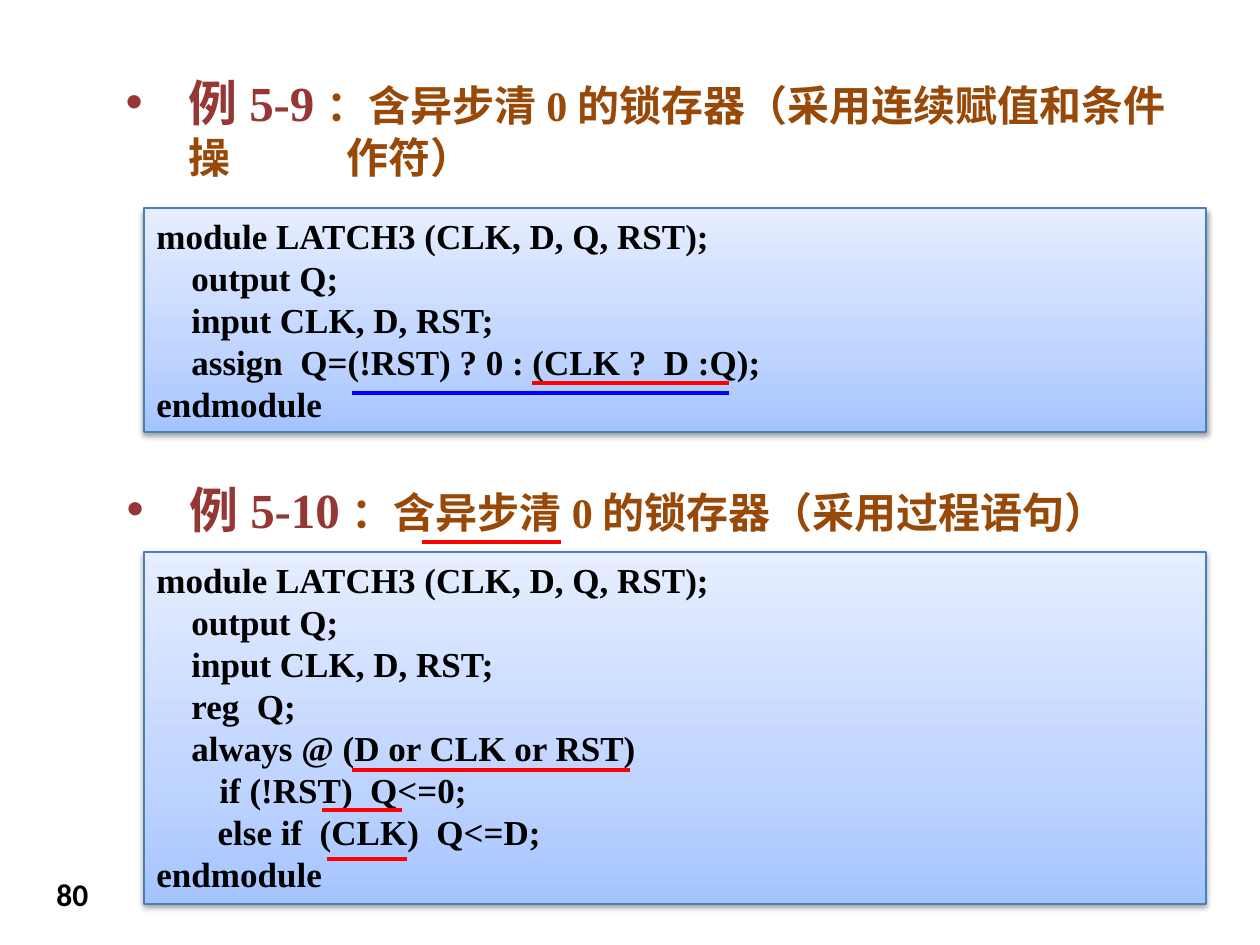
from copy import deepcopy

from pptx import Presentation
from pptx.dml.color import RGBColor
from pptx.enum.shapes import MSO_CONNECTOR, MSO_SHAPE
from pptx.enum.text import MSO_ANCHOR, MSO_AUTO_SIZE, PP_ALIGN
from pptx.oxml import parse_xml
from pptx.oxml.ns import nsdecls
from pptx.util import Emu, Pt

EMU_PER_PX = 914400 / 126
COLORS = {
    "number": "953735", "topic": "984807", "text": "000000", "edge": "4B7EBC",
    "red": "FF0000", "blue": "0000FF",
}
PANEL_STOPS = [(0, "A4C4FF"), (0.35, "BFD4FF"), (1, "E6EEFF")]
SERIF = "Times New Roman"
CODE_FONT = {"name": SERIF, "size": Pt(20), "bold": True}
NUMBER_FONT = {"name": SERIF, "size": Pt(28), "bold": True}
TOPIC_FONT = {"name": SERIF, "size": Pt(24), "bold": True}
PAGE_FONT = {"name": "Calibri", "size": Pt(18), "bold": True}

HEADINGS = [
    ("例5-9", "：含异步清0的锁存器（采用连续赋值和条件操\t作符）", (113, 66, 1091, 140)),
    ("例5-10", "：含异步清0的锁存器（采用过程语句）", (114, 473, 1091, 75)),
]
HANG, TAB_STOP = 63, 221

PANELS = [
    ((144, 208, 1062, 224), [
        "module LATCH3 (CLK, D, Q, RST);",
        "    output Q;",
        "    input CLK, D, RST;",
        "    assign  Q=(!RST) ? 0 : (CLK ?  D :Q);",
        "endmodule",
    ]),
    ((144, 552, 1062, 352), [
        "module LATCH3 (CLK, D, Q, RST);",
        "    output Q;",
        "    input CLK, D, RST;",
        "    reg  Q;",
        "    always @ (D or CLK or RST)",
        "\tif (!RST)  Q<=0;",
        "       else if  (CLK)  Q<=D;",
        "endmodule",
    ]),
]

# left, right, height on the page, colour
UNDERLINES = [
    (532, 729, 383, "red"),
    (352, 729, 393, "blue"),
    (352, 630, 770, "red"),
    (322, 402, 810, "red"),
    (327, 407, 859, "red"),
    (422, 561, 542, "red"),
]
PAGE_NUMBER = ("80", (44, 869, 79, 57))


def px(value):
    return Emu(round(value * EMU_PER_PX))


def color(name):
    return RGBColor.from_string(COLORS[name])


def add_span(para, text, font, tone):
    span = para.add_run()
    span.text = text
    for name, value in font.items():
        setattr(span.font, name, value)
    span.font.color.rgb = color(tone)


def place(shape, area):
    for name, value in zip(("left", "top", "width", "height"), area):
        setattr(shape, name, px(value))


def set_frame(frame):
    frame.word_wrap = True
    frame.auto_size = MSO_AUTO_SIZE.NONE
    frame.vertical_anchor = MSO_ANCHOR.TOP


def fill_heading(holder, number, topic, area):
    place(holder, area)
    set_frame(holder.text_frame)
    para = holder.text_frame.paragraphs[0]
    para.alignment = PP_ALIGN.LEFT
    para.space_before = Pt(0)
    props = para._p.get_or_add_pPr()
    props.set("marL", str(px(HANG)))
    props.set("indent", str(-px(HANG)))
    for xml in (
        f'<a:buClr {nsdecls("a")}><a:srgbClr val="{COLORS["number"]}"/></a:buClr>',
        f'<a:buFont {nsdecls("a")} typeface="Arial"/>',
        f'<a:buChar {nsdecls("a")} char="•"/>',
        f'<a:tabLst {nsdecls("a")}><a:tab pos="{px(TAB_STOP)}" algn="l"/></a:tabLst>',
    ):
        props.append(parse_xml(xml))
    add_span(para, number, NUMBER_FONT, "number")
    add_span(para, topic, TOPIC_FONT, "topic")


def paint_panel(panel):
    """Give the panel its three-stop gradient, thin edge and soft shadow."""
    panel.fill.gradient()
    panel.fill.gradient_angle = 90
    stop_list = panel._element.spPr.xpath("./a:gradFill/a:gsLst")[0]
    stop_list.append(deepcopy(stop_list[0]))
    for stop, (position, tone) in zip(panel.fill.gradient_stops, PANEL_STOPS):
        stop.position = position
        stop.color.rgb = RGBColor.from_string(tone)
    panel.line.color.rgb = color("edge")
    panel.line.width = Pt(0.75)
    panel.shadow.inherit = False
    panel._element.spPr.xpath("./a:effectLst")[0].append(parse_xml(
        f'<a:outerShdw {nsdecls("a")} blurRad="40000" dist="20000" dir="5400000" '
        'rotWithShape="0"><a:srgbClr val="000000"><a:alpha val="38000"/>'
        '</a:srgbClr></a:outerShdw>'))


def add_panel(page, area, lines):
    panel = page.shapes.add_shape(MSO_SHAPE.RECTANGLE, *map(px, area))
    paint_panel(panel)
    frame = panel.text_frame
    set_frame(frame)
    for index, line in enumerate(lines):
        para = frame.add_paragraph() if index else frame.paragraphs[0]
        para.alignment = PP_ALIGN.LEFT
        add_span(para, line, CODE_FONT, "text")


def add_underline(page, left, right, height, tone):
    line = page.shapes.add_connector(
        MSO_CONNECTOR.STRAIGHT, px(left), px(height), px(right), px(height))
    line.line.color.rgb = color(tone)
    line.line.width = Pt(2.25)
    line._element.spPr.append(parse_xml(f'<a:effectLst {nsdecls("a")}/>'))


def main():
    deck = Presentation()
    deck.slide_width, deck.slide_height = px(1260), px(945)
    page = deck.slides.add_slide(deck.slide_layouts[1])
    for holder, heading in zip(page.placeholders, HEADINGS):
        fill_heading(holder, *heading)
    for panel in PANELS:
        add_panel(page, *panel)
    for underline in UNDERLINES:
        add_underline(page, *underline)
    number, area = PAGE_NUMBER
    box = page.shapes.add_textbox(*map(px, area))
    set_frame(box.text_frame)
    add_span(box.text_frame.paragraphs[0], number, PAGE_FONT, "text")
    deck.save("out.pptx")


if __name__ == "__main__":
    main()
